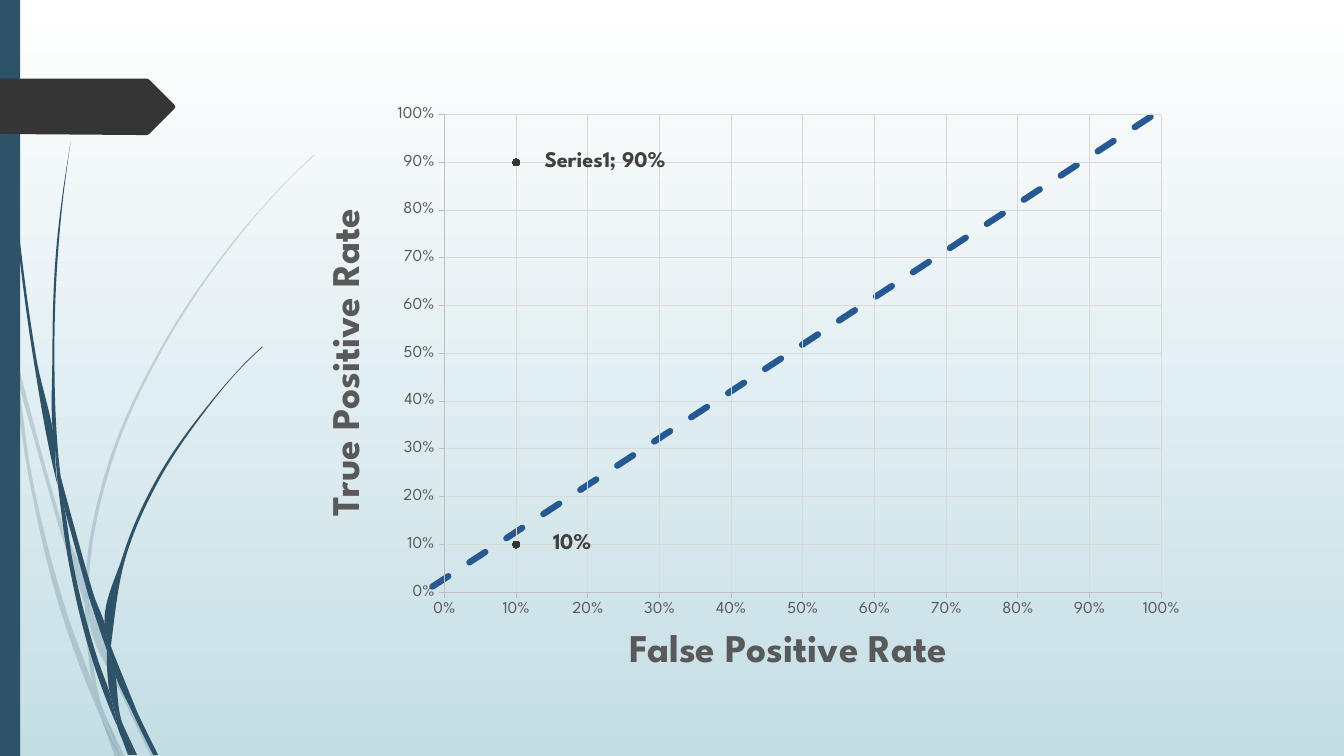
from math import hypot

from lxml import etree
from pptx import Presentation
from pptx import util as u
from pptx.chart import data as cd
from pptx.dml import color as col
from pptx.enum import chart as ch, dml, shapes
from pptx.oxml import parse_xml
from pptx.oxml.ns import nsdecls, qn

Pt = u.Pt
FONT = "League Spartan"
COLOURS = {"top": "FFFFFF", "bottom": "C5DEE5", "teal": "2E5369", "dark": "353535",
           "blue": "265991", "axis": "BFBFBF", "grid": "D9D9D9", "grey": "595959",
           "label": "404040"}

# Outlines as "x,y" corners on a grid of GRID points
GRID = 0.72
PALE_GRASS = [
    "11,350 9,322 0,282 0,299 10,344",
    "58,522 84,599 85,586 62,520 14,345 17,376",
    "92,607 88,596 88,610 123,694 150,751 155,751 127,692",
    "119,751 124,751 105,711",
    "93,683 70,619 31,469 17,376 11,350 28,470 65,621 92,693 101,714 99,707",
    "84,599 87,646 93,683 96,692 105,711 103,706 91,646 88,610 88,608",
    "88,584 110,462 160,349 229,245 268,198 290,175 312,154 312,153 289,175 268,197 "
    "228,244 158,348 107,461 85,584 85,586 88,596",
    "101,714 114,751 119,751",
    "88,608 88,610 88,596 85,586 84,599",
    "96,692 93,683 99,707 101,714 119,751 105,711",
]
DARK_GRASS = [
    "7,110 17,233 33,355 56,477 57,481 55,457 55,453 36,355 19,232 8,109 5,48 4,0 3,0 4,48",
    "88,592 106,645 106,633 106,631 93,590 60,472 64,505",
    "113,649 110,641 111,656 132,708 152,749 157,749 136,706",
    "110,691 98,657 72,556 64,505 57,477 68,557 93,659 111,708 117,722 116,717",
    "60,472 58,453 54,349 58,245 63,193 70,141 62,193 56,245 52,349 55,449",
    "133,749 136,749 122,719",
    "57,477 64,505 60,472 55,449 55,453",
    "111,633 125,552 158,476 205,406 231,374 245,359 261,344 260,344 245,358 231,373 "
    "204,405 156,474 122,551 106,631 110,641",
    "117,722 127,749 131,749",
    "106,645 110,691 116,706 122,719 121,716 111,656 109,651",
    "106,645 109,651 111,656 110,641 106,631 106,633",
    "116,706 110,691 116,717 117,722 130,749 133,749 122,719",
]
TAG = "173,108 148,133 146,134 136,134 0,133 0,78 136,78 146,78 148,79 173,104 174,106"


def tangent(before, here, after):
    """Unit direction through a point, or none at a sharp corner."""
    (ax, ay), (bx, by), (cx, cy) = before, here, after
    l1, l2 = hypot(bx - ax, by - ay), hypot(cx - bx, cy - by)
    turn = ((bx - ax) * (cx - bx) + (by - ay) * (cy - by)) / (l1 * l2)
    if turn < 0.8:
        return 0, 0
    # The shorter neighbour steers the direction more
    dx = (bx - ax) * l2 / l1 + (cx - bx) * l1 / l2
    dy = (by - ay) * l2 / l1 + (cy - by) * l1 / l2
    size = hypot(dx, dy)
    return dx / size, dy / size


def bend(sp):
    """Turn the straight sides of a closed outline into smooth curves."""
    lines = list(sp._element.iter(qn("a:lnTo")))
    start = next(sp._element.iter(qn("a:moveTo")))
    pts = [(int(e[0].get("x")), int(e[0].get("y"))) for e in [start, *lines]]
    if pts[-1] == pts[0]:
        pts.pop()
    n = len(pts)
    dirs = [tangent(pts[i - 1], pts[i], pts[(i + 1) % n]) for i in range(n)]
    for i, line in enumerate(lines):
        j = (i + 1) % n
        (x0, y0), (x1, y1) = pts[i], pts[j]
        third = hypot(x1 - x0, y1 - y0) / 3
        curve = etree.Element(qn("a:cubicBezTo"))
        for x, y in ((x0 + dirs[i][0] * third, y0 + dirs[i][1] * third),
                     (x1 - dirs[j][0] * third, y1 - dirs[j][1] * third), (x1, y1)):
            etree.SubElement(curve, qn("a:pt"), x=str(round(x)), y=str(round(y)))
        line.getparent().replace(line, curve)


class Deck:
    def __init__(self, width, height):
        self.prs = Presentation()
        self.prs.slide_width, self.prs.slide_height = Pt(width), Pt(height)
        self.s = self.prs.slides.add_slide(self.prs.slide_layouts[6])

    def rgb(self, name):
        return col.RGBColor.from_string(COLOURS[name])

    def background(self, *names):
        fill = self.s.background.fill
        fill.gradient()
        fill.gradient_angle = 270
        for stop, name, pos in zip(fill.gradient_stops, names, (0, 1)):
            stop.color.rgb, stop.position = self.rgb(name), pos

    def paint(self, sp, name, alpha=None):
        sp.shadow.inherit = False
        sp.line.fill.background()
        sp.fill.solid()
        sp.fill.fore_color.rgb = self.rgb(name)
        if alpha:
            clr = sp.fill._xPr.find(".//" + qn("a:srgbClr"))
            etree.SubElement(clr, qn("a:alpha")).set("val", str(alpha * 1000))

    def bar(self, x, y, w, h, name):
        self.paint(self.s.shapes.add_shape(shapes.MSO_SHAPE.RECTANGLE, Pt(x), Pt(y),
                                           Pt(w), Pt(h)), name)

    def outline(self, corners, name, alpha=None, curved=True):
        pts = [tuple(Pt(int(v) * GRID) for v in c.split(",")) for c in corners.split()]
        builder = self.s.shapes.build_freeform(*pts[0])
        builder.add_line_segments(pts[1:], close=True)
        sp = builder.convert_to_shape()
        if curved:
            bend(sp)
        self.paint(sp, name, alpha)

    def dashed_line(self, x0, y0, x1, y1, name, width):
        cx = self.s.shapes.add_connector(shapes.MSO_CONNECTOR.STRAIGHT,
                                         Pt(x0), Pt(y0), Pt(x1), Pt(y1))
        cx.line.color.rgb, cx.line.width = self.rgb(name), Pt(width)
        cx.line.dash_style = dml.MSO_LINE.DASH
        cx.line._ln.set("cap", "rnd")
        etree.SubElement(cx._element.spPr, qn("a:effectLst"))

    def font(self, font, size, name, bold=False):
        font.name, font.size, font.bold = FONT, Pt(size), bold
        font.color.rgb = self.rgb(name)

    def layout(self, x, y, w=None, h=None, modes=""):
        """Manual chart layout, in points within the chart frame."""
        cw, chh = self.chart_size
        parts = [("x", x / cw), ("y", y / chh)]
        if w:
            parts += [("w", w / cw), ("h", h / chh)]
        body = "".join(f'<c:{tag} val="{v:.4f}"/>' for tag, v in parts)
        return parse_xml(f'<c:layout {nsdecls("c")}><c:manualLayout>{modes}{body}'
                         '</c:manualLayout></c:layout>')

    def axis(self, axis, title, x, y):
        axis.minimum_scale, axis.maximum_scale, axis.major_unit = 0, 1, 0.1
        axis.has_major_gridlines = True
        axis.major_tick_mark = ch.XL_TICK_MARK.OUTSIDE
        axis.tick_labels.number_format = "0%"
        axis.tick_labels.number_format_is_linked = False
        self.font(axis.tick_labels.font, 12, "grey")
        for line, name in ((axis.format.line, "axis"),
                           (axis.major_gridlines.format.line, "grid")):
            line.color.rgb, line.width = self.rgb(name), Pt(0.75)
        p = axis.axis_title.text_frame.paragraphs[0]
        p.text = title
        self.font(p.font, 28, "grey", True)
        el = axis.axis_title._element
        for old in el.findall(qn("c:layout")):
            el.remove(old)
        edge = '<c:xMode val="edge"/><c:yMode val="edge"/>'
        el.find(qn("c:tx")).addnext(self.layout(x, y, modes=edge))

    def scatter(self, x, y, w, h, points, labels):
        self.chart_size = w, h
        data = cd.XyChartData(number_format="0%")
        ser = data.add_series("Series1")
        for point in points:
            ser.add_data_point(*point)
        chart = self.s.shapes.add_chart(ch.XL_CHART_TYPE.XY_SCATTER, Pt(x), Pt(y),
                                        Pt(w), Pt(h), data).chart
        chart.has_title = chart.has_legend = False
        self.font(chart.font, 10, "grey")
        self.axis(chart.category_axis, "False Positive Rate", 228.3, 378)
        self.axis(chart.value_axis, "True Positive Rate", 12.8, 76.8)

        # Markers and labels
        series = chart.plots[0].series[0]
        chart.plots[0].vary_by_categories = False
        series.format.line.fill.background()
        series.marker.style, series.marker.size = ch.XL_MARKER_STYLE.CIRCLE, 5
        for fmt in (series.marker.format.fill, series.marker.format.line.fill):
            fmt.solid()
            fmt.fore_color.rgb = self.rgb("dark")
        for i, (label, shift) in enumerate(labels):
            dl = series.points[i].data_label
            r = dl.text_frame.paragraphs[0].add_run()
            r.text = label
            self.font(r.font, 16, "label", True)
            dl.position = ch.XL_LABEL_POSITION.RIGHT
            dl._dLbl.find(qn("c:idx")).addnext(self.layout(shift, 0))

        # No leader lines
        dlbls = series._element.find(qn("c:dLbls"))
        for el in dlbls.findall(qn("c:showLeaderLines")):
            el.set("val", "0")
        dlbls.append(parse_xml(
            f'<c:extLst {nsdecls("c")}><c:ext uri="{{CE6537A1-D6FC-4f65-9D91-7224C49458BB}}" '
            'xmlns:c15="http://schemas.microsoft.com/office/drawing/2012/chart">'
            '<c15:showLeaderLines val="0"/></c:ext></c:extLst>'))

        # Plot position and clear backgrounds
        area = chart._chartSpace.find(".//" + qn("c:plotArea"))
        for old in area.findall(qn("c:layout")):
            area.remove(old)
        inner = '<c:layoutTarget val="inner"/><c:xMode val="edge"/><c:yMode val="edge"/>'
        area.insert(0, self.layout(101.5, 14.2, 512, 341.2, inner))
        clear = f'<c:spPr {nsdecls("c", "a")}><a:noFill/><a:ln><a:noFill/></a:ln></c:spPr>'
        area.append(parse_xml(clear))
        chart._chartSpace.find(qn("c:txPr")).addprevious(parse_xml(clear))


def main():
    deck = Deck(960, 540)
    deck.background("top", "bottom")
    # Grass, side bar and tag
    for corners in PALE_GRASS:
        deck.outline(corners, "teal", alpha=20)
    for corners in DARK_GRASS:
        deck.outline(corners, "teal")
    deck.bar(0, 0, 14.4, 540, "teal")
    deck.outline(TAG, "dark", curved=False)
    # Chance diagonal and rate chart
    deck.dashed_line(308.9, 419, 829.4, 78.5, "blue", 4.5)
    deck.scatter(216, 67.7, 640, 427, [(0.1, 0.9), (0.1, 0.1)],
                 [("Series1; 90%", 15), ("10%", 21)])
    deck.prs.save("out.pptx")


if __name__ == "__main__":
    main()
